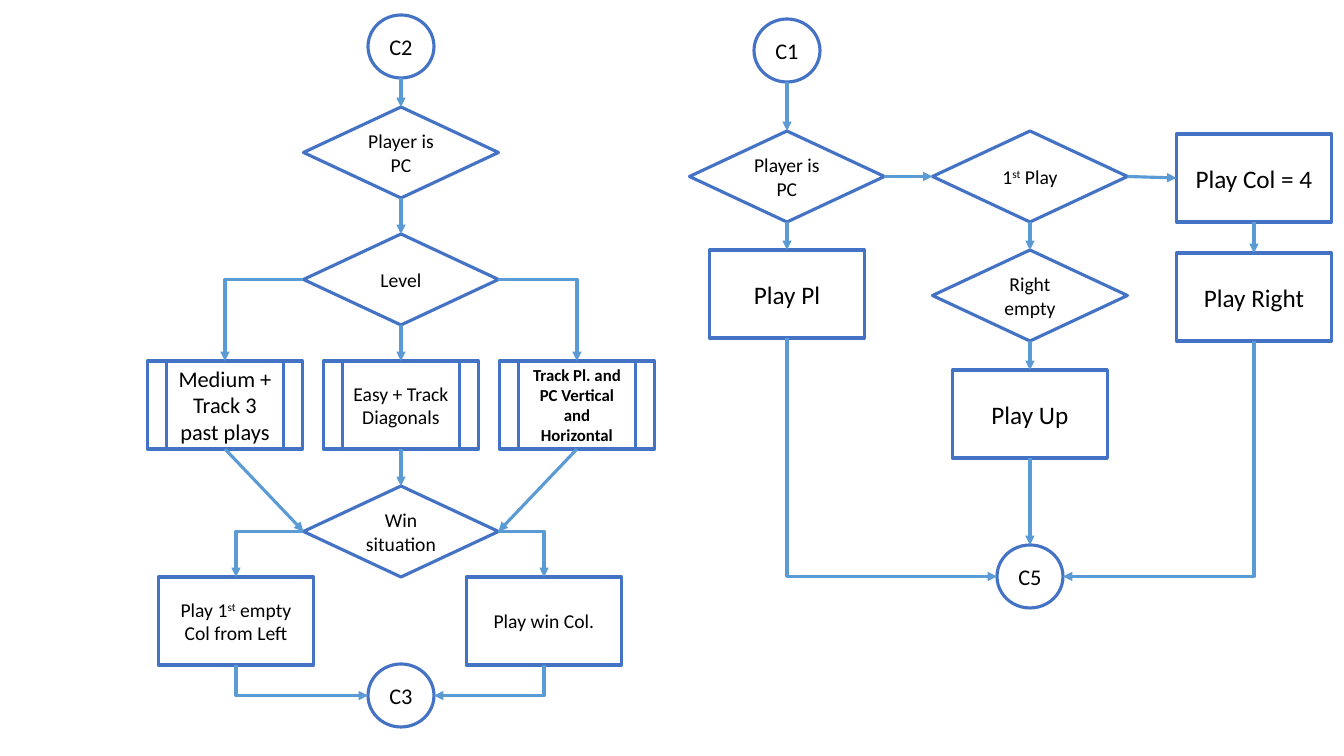
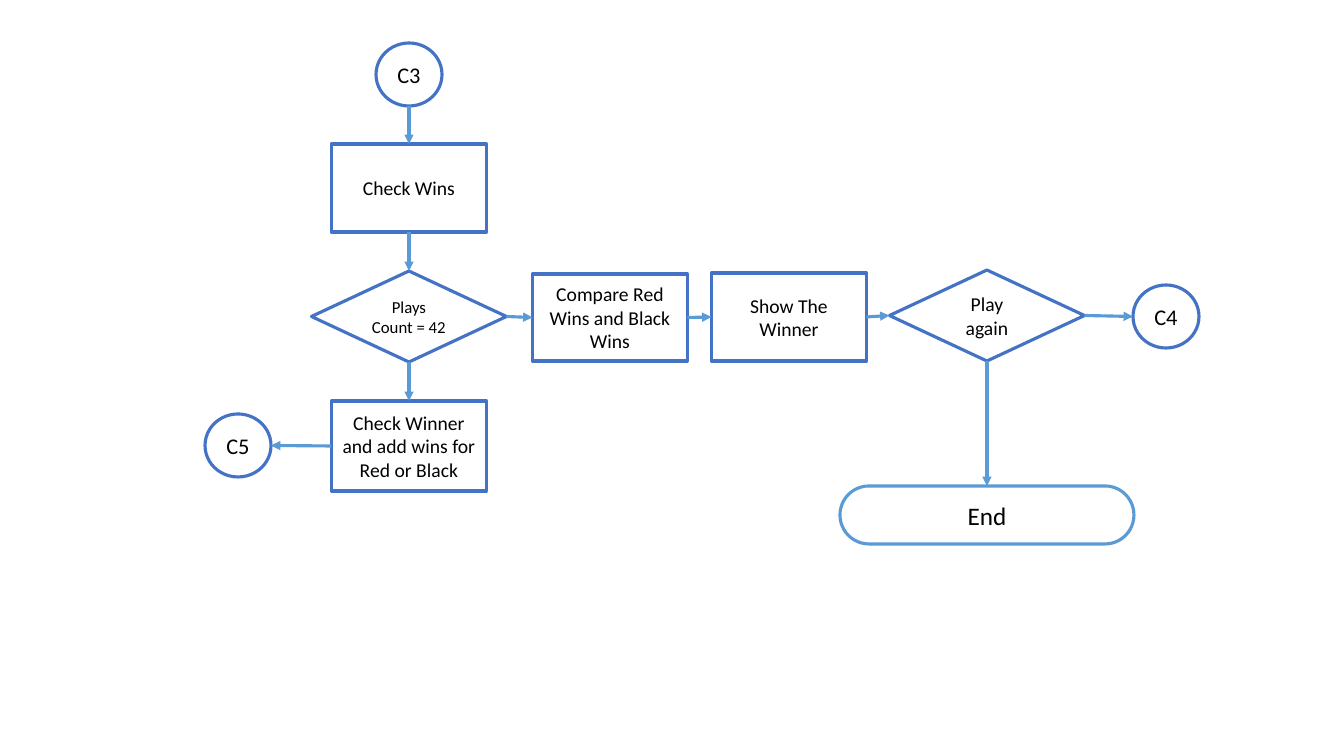
from pptx import Presentation
from pptx.dml.color import RGBColor
from pptx.enum.shapes import MSO_CONNECTOR, MSO_SHAPE
from pptx.enum.text import MSO_ANCHOR, PP_ALIGN
from pptx.oxml.ns import qn
from pptx.oxml.xmlchemy import OxmlElement
from pptx.util import Pt

SLIDE_W, SLIDE_H = 1344, 756
SCALE = 12192000 / SLIDE_W

WHITE = RGBColor(0xFF, 0xFF, 0xFF)
BLACK = RGBColor(0x00, 0x00, 0x00)
NODE_BLUE = RGBColor(0x44, 0x72, 0xC4)
ARROW_BLUE = RGBColor(0x5B, 0x9B, 0xD5)
FONT = "Calibri"
LINE_WIDTH = Pt(2.25)

CIRCLE = MSO_SHAPE.FLOWCHART_CONNECTOR
DECISION = MSO_SHAPE.FLOWCHART_DECISION
PROCESS = MSO_SHAPE.FLOWCHART_PROCESS
SUBPROCESS = MSO_SHAPE.FLOWCHART_PREDEFINED_PROCESS
TERMINAL = MSO_SHAPE.ROUNDED_RECTANGLE
STRAIGHT, ELBOW = MSO_CONNECTOR.STRAIGHT, MSO_CONNECTOR.ELBOW
MIDDLE, CENTER = MSO_ANCHOR.MIDDLE, PP_ALIGN.CENTER

# Width, height and text size of each kind of node
NODE_STYLE = {
    CIRCLE: (66, 63, 16),
    DECISION: (195, 91, 14),
    PROCESS: (155, 88, 14),
    SUBPROCESS: (155, 88, 14),
    TERMINAL: (294, 58, 18),
}
# Connection site number and position as fractions of the node
SIDES = {
    "top": (0, 0.5, 0),
    "left": (1, 0, 0.5),
    "bottom": (2, 0.5, 1),
    "right": (3, 1, 0.5),
}


def px(length):
    return round(length * SCALE)


def write_text(shape, text, size=14, bold=False, color=BLACK):
    """Centre the text; parts between ^ marks are superscript."""
    frame = shape.text_frame
    frame.word_wrap = True
    frame.vertical_anchor = MIDDLE
    paragraph = frame.paragraphs[0]
    paragraph.alignment = CENTER
    for index, part in enumerate(text.split("^")):
        run = paragraph.add_run()
        run.text = part
        run.font.name = FONT
        run.font.size = Pt(size)
        run.font.bold = bold
        run.font.color.rgb = color
        if index % 2:
            run.font._element.set("baseline", "30000")


def add_node(slide, kind, center, top, text, size=None, bold=False, height=None):
    width, usual_height, usual_size = NODE_STYLE[kind]
    node = slide.shapes.add_shape(
        kind, px(center - width / 2), px(top), px(width), px(height or usual_height))
    node.shadow.inherit = False
    node.fill.solid()
    node.fill.fore_color.rgb = WHITE
    node.line.color.rgb = ARROW_BLUE if kind == TERMINAL else NODE_BLUE
    node.line.width = LINE_WIDTH
    if kind == TERMINAL:
        node.adjustments[0] = 0.5
    write_text(node, text, size=size or usual_size, bold=bold)
    return node


def side_point(node, side):
    _, across, down = SIDES[side]
    return (round(node.left + node.width * across),
            round(node.top + node.height * down))


def glue(end, node, side):
    # Circles have eight sites, the other nodes four
    end.id = node.shape_id
    end.idx = SIDES[side][0] * (2 if node.auto_shape_type == CIRCLE else 1)


def add_arrow(slide, source, source_side, target, target_side, bent=False):
    x1, y1 = side_point(source, source_side)
    x2, y2 = side_point(target, target_side)
    rotation = 0
    if bent and source_side == "bottom":
        # A vertical first leg is a quarter turn of the one-corner elbow
        rotation = 270 if x2 > x1 else 90
        mid_x, mid_y = (x1 + x2) // 2, (y1 + y2) // 2
        half_w, half_h = (y2 - y1) // 2, abs(x2 - x1) // 2
        reach = half_w if rotation == 90 else -half_w
        x1, x2 = mid_x - reach, mid_x + reach
        y1, y2 = mid_y - half_h, mid_y + half_h
    arrow = slide.shapes.add_connector(ELBOW if bent else STRAIGHT, x1, y1, x2, y2)
    arrow.line.color.rgb = ARROW_BLUE
    arrow.line.width = LINE_WIDTH
    properties = arrow._element.spPr
    if bent:
        properties.find(qn("a:prstGeom")).set("prst", "bentConnector2")
        properties.xfrm.rot = rotation
    head = OxmlElement("a:tailEnd")
    head.set("type", "triangle")
    properties.find(qn("a:ln")).append(head)
    properties.append(OxmlElement("a:effectLst"))
    ends = arrow._element.nvCxnSpPr.cNvCxnSpPr
    glue(ends.get_or_add_stCxn(), source, source_side)
    glue(ends.get_or_add_endCxn(), target, target_side)


def draw_flow(slide, left, top, nodes, straight, bent=()):
    """nodes: name -> (kind, center, top, text, format), relative to left and top."""
    placed = {
        name: add_node(slide, kind, left + center, top + down, text, **style)
        for name, (kind, center, down, text, style) in nodes.items()
    }
    for links, is_bent in ((straight, False), (bent, True)):
        for source, source_side, target, target_side in links:
            add_arrow(slide, placed[source], source_side,
                      placed[target], target_side, bent=is_bent)


def chain(*names, sides=("bottom", "top")):
    return [(a, sides[0], b, sides[1]) for a, b in zip(names, names[1:])]


def draw_computer_turn(slide, left, top):
    middle, spacing = 255, 176
    nodes = {
        "start": (CIRCLE, middle, 0, "C2", {}),
        "player": (DECISION, middle, 92, "Player is PC", {}),
        "level": (DECISION, middle, 219, "Level", {}),
        "medium": (SUBPROCESS, middle - spacing, 346,
                   "Medium + Track 3 past plays", {"size": 16}),
        "easy": (SUBPROCESS, middle, 346, "Easy + Track Diagonals", {}),
        "track": (SUBPROCESS, middle + spacing, 346,
                  "Track Pl. and PC Vertical and Horizontal",
                  {"size": 12, "bold": True}),
        "win": (DECISION, middle, 471, "Win situation", {}),
        "first empty": (PROCESS, 90, 562, "Play 1^st^ empty Col from Left", {}),
        "win column": (PROCESS, 398, 562, "Play win Col.", {}),
        "next": (CIRCLE, middle, 649, "C3", {}),
    }
    straight = chain("start", "player", "level", "easy", "win") + [
        ("medium", "bottom", "win", "left"),
        ("track", "bottom", "win", "right"),
    ]
    bent = [
        ("level", "left", "medium", "top"),
        ("level", "right", "track", "top"),
        ("win", "left", "first empty", "top"),
        ("win", "right", "win column", "top"),
        ("first empty", "bottom", "next", "left"),
        ("win column", "bottom", "next", "right"),
    ]
    draw_flow(slide, left, top, nodes, straight, bent)


def draw_first_moves(slide, left, top):
    player_x, first_x, column_x = 98, 341, 565
    large = {"size": 18}
    nodes = {
        "start": (CIRCLE, player_x, 0, "C1", {}),
        "player": (DECISION, player_x, 112, "Player is PC", {}),
        "play player": (PROCESS, player_x, 231, "Play Pl", large),
        "first play": (DECISION, first_x, 112, "1^st^ Play", {}),
        "right empty": (DECISION, first_x, 231, "Right empty", {}),
        "play up": (PROCESS, first_x, 351, "Play Up", large),
        "next": (CIRCLE, first_x, 526, "C5", {}),
        "column 4": (PROCESS, column_x, 115, "Play Col = 4", large),
        "play right": (PROCESS, column_x, 234, "Play Right", large),
    }
    straight = (
        chain("start", "player", "play player")
        + chain("first play", "right empty", "play up", "next")
        + chain("column 4", "play right")
        + chain("player", "first play", "column 4", sides=("right", "left"))
    )
    bent = [
        ("play player", "bottom", "next", "left"),
        ("play right", "bottom", "next", "right"),
    ]
    draw_flow(slide, left, top, nodes, straight, bent)


def draw_game_end(slide, left, top):
    check_x, again_x = 204, 782
    nodes = {
        "start": (CIRCLE, check_x, 0, "C3", {}),
        "check wins": (PROCESS, check_x, 101, "Check Wins", {}),
        "count": (DECISION, check_x, 228, "Plays Count = 42", {"size": 12}),
        "add wins": (PROCESS, check_x, 358,
                     "Check Winner and add wins for Red or Black", {"height": 90}),
        "next turn": (CIRCLE, 33, 371, "C5", {}),
        "compare": (PROCESS, 405, 231, "Compare Red Wins and Black Wins",
                    {"height": 87}),
        "winner": (PROCESS, 584, 230, "Show The Winner", {}),
        "again": (DECISION, again_x, 227, "Play again", {}),
        "restart": (CIRCLE, 961, 242, "C4", {}),
        "end": (TERMINAL, again_x, 443, "End", {}),
    }
    straight = (
        chain("start", "check wins", "count", "add wins")
        + chain("count", "compare", "winner", "again", "restart",
                sides=("right", "left"))
        + chain("again", "end")
        + chain("add wins", "next turn", sides=("left", "right"))
    )
    draw_flow(slide, left, top, nodes, straight)


presentation = Presentation()
presentation.slide_width, presentation.slide_height = px(SLIDE_W), px(SLIDE_H)
blank = presentation.slide_layouts[6]

# Moves of the computer and the first player
moves = presentation.slides.add_slide(blank)
draw_computer_turn(moves, 146, 15)
draw_first_moves(moves, 689, 19)

# Result and end of the game
result = presentation.slides.add_slide(blank)
draw_game_end(result, 205, 43)

presentation.save("out.pptx")
